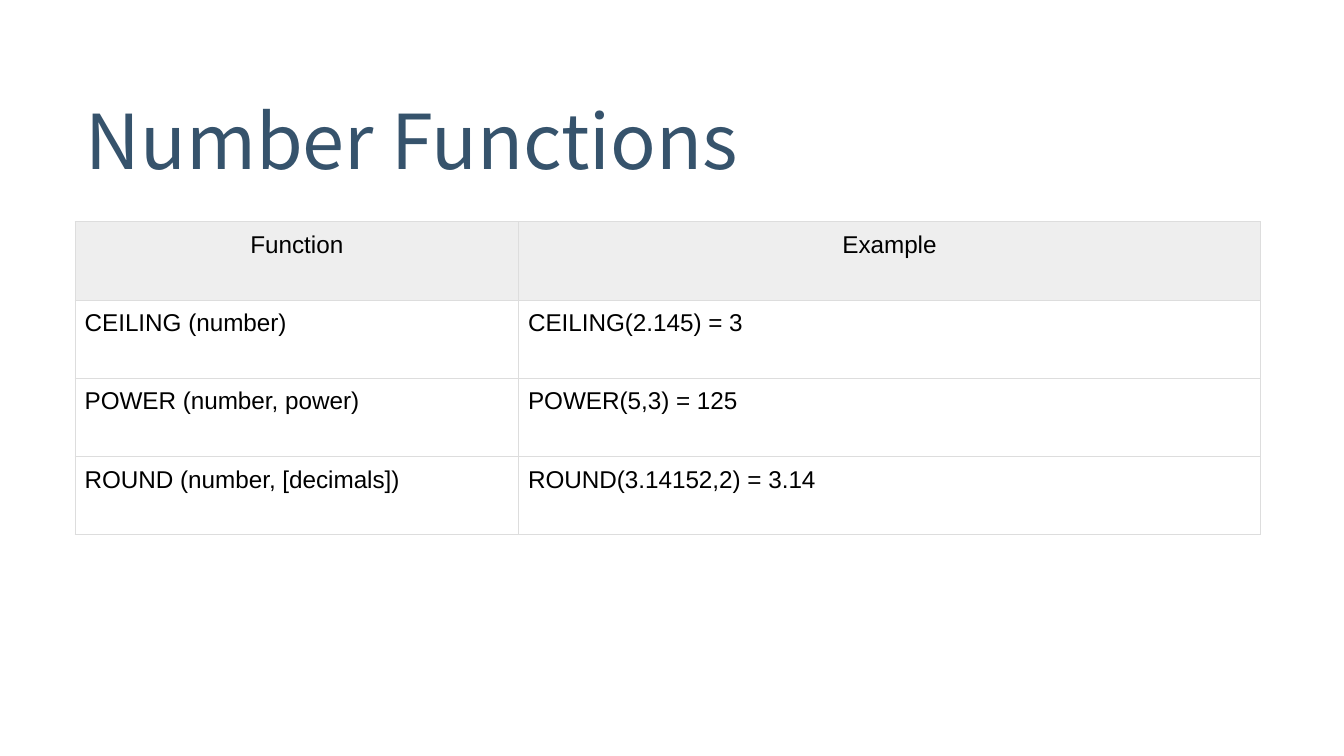
from lxml import etree
from pptx import Presentation
from pptx import util as u
from pptx.dml.color import RGBColor
from pptx.enum import text
from pptx.oxml import ns

COLORS = {
    "title": "36536C",
    "body": "000000",
    "header": "EEEEEE",
    "border": "DDDDDD",
}

ROWS = [
    ("Function", "Example"),
    ("CEILING (number)", "CEILING(2.145) = 3"),
    ("POWER (number, power)", "POWER(5,3) = 125"),
    ("ROUND (number, [decimals])", "ROUND(3.14152,2) = 3.14"),
]


class SlideBuilder:
    title_font = "Noto Sans CJK KR"
    body_font = "Arial"
    cell_margin = u.Cm(0.18)
    border_width = u.Pt(0.6)

    def __init__(self, slide):
        self.slide = slide

    def add_run(self, paragraph, words, font, size, color):
        run = paragraph.add_run()
        run.text = words
        run.font.name = font
        run.font.size = u.Pt(size)
        run.font.bold = False
        run.font.color.rgb = RGBColor.from_string(COLORS[color])

    def add_title(self, words, left, top, width, height):
        shape = self.slide.shapes.add_textbox(
            u.Cm(left), u.Cm(top), u.Cm(width), u.Cm(height))
        frame = shape.text_frame
        frame.word_wrap = True
        frame.vertical_anchor = text.MSO_ANCHOR.MIDDLE
        paragraph = frame.paragraphs[0]
        paragraph.line_spacing = 0.85
        self.add_run(paragraph, words, self.title_font, 40.5, "title")

    def add_borders(self, cell):
        properties = cell._tc.get_or_add_tcPr()
        for side in ("L", "R", "T", "B"):
            line = etree.SubElement(properties, ns.qn(f"a:ln{side}"),
                                    w=str(self.border_width))
            fill = etree.SubElement(line, ns.qn("a:solidFill"))
            etree.SubElement(fill, ns.qn("a:srgbClr"), val=COLORS["border"])

    def fill_cell(self, cell, words, is_header):
        cell.margin_left = cell.margin_right = self.cell_margin
        cell.margin_top = cell.margin_bottom = self.cell_margin
        self.add_borders(cell)
        paragraph = cell.text_frame.paragraphs[0]
        if is_header:
            cell.fill.solid()
            cell.fill.fore_color.rgb = RGBColor.from_string(COLORS["header"])
            paragraph.alignment = text.PP_ALIGN.CENTER
        else:
            cell.fill.background()
        self.add_run(paragraph, words, self.body_font, 13, "body")

    def add_table(self, rows, left, top, column_widths, row_height):
        table = self.slide.shapes.add_table(
            len(rows), len(column_widths), u.Cm(left), u.Cm(top),
            u.Cm(sum(column_widths)), u.Cm(row_height * len(rows))).table
        table.horz_banding = False
        for column, width in zip(table.columns, column_widths):
            column.width = u.Cm(width)
        for row_index, row in enumerate(rows):
            table.rows[row_index].height = u.Cm(row_height)
            for column_index, words in enumerate(row):
                self.fill_cell(table.cell(row_index, column_index), words,
                               row_index == 0)


def main():
    presentation = Presentation()
    presentation.slide_width = u.Cm(25.4)
    presentation.slide_height = u.Cm(14.29)
    slide = presentation.slides.add_slide(presentation.slide_layouts[6])
    builder = SlideBuilder(slide)
    builder.add_title("Number Functions", 1.37, 1.04, 22.45, 3.45)
    builder.add_table(ROWS, 1.42, 4.19, (8.38, 14.02), 1.48)
    presentation.save("out.pptx")


if __name__ == "__main__":
    main()
